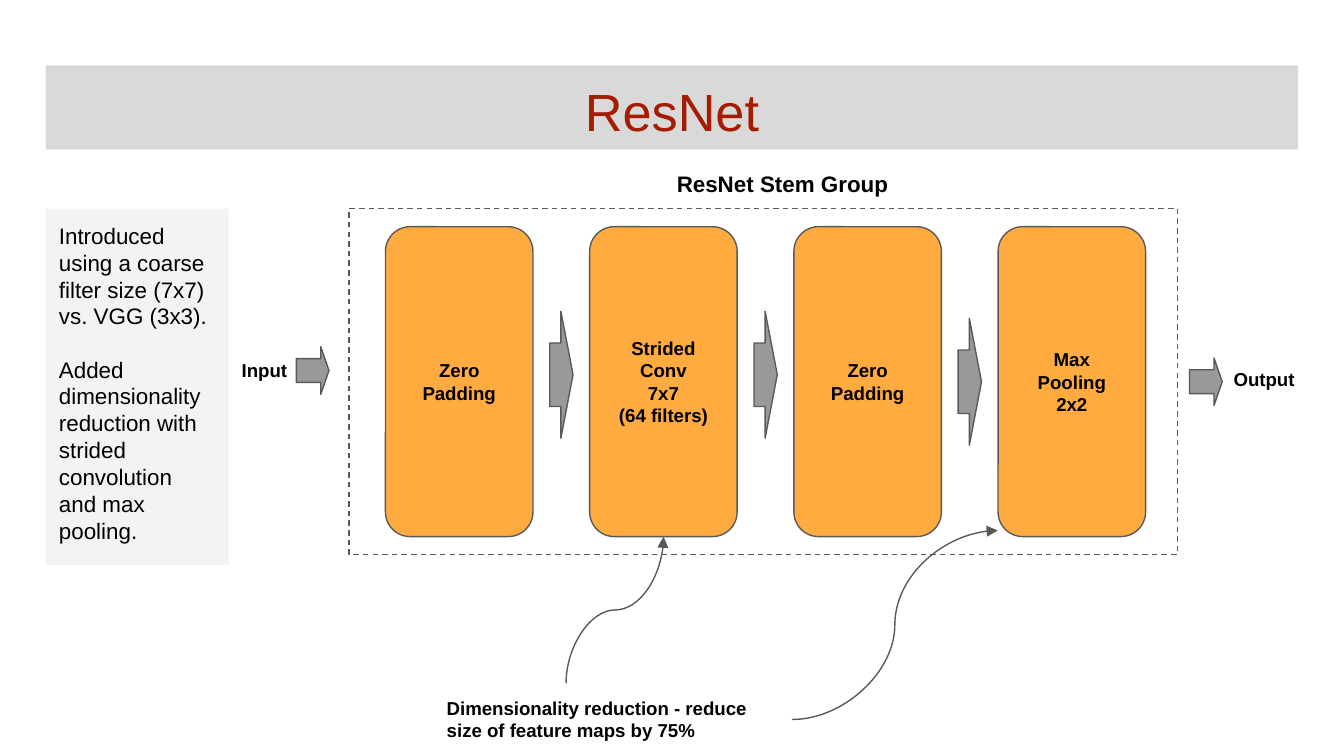
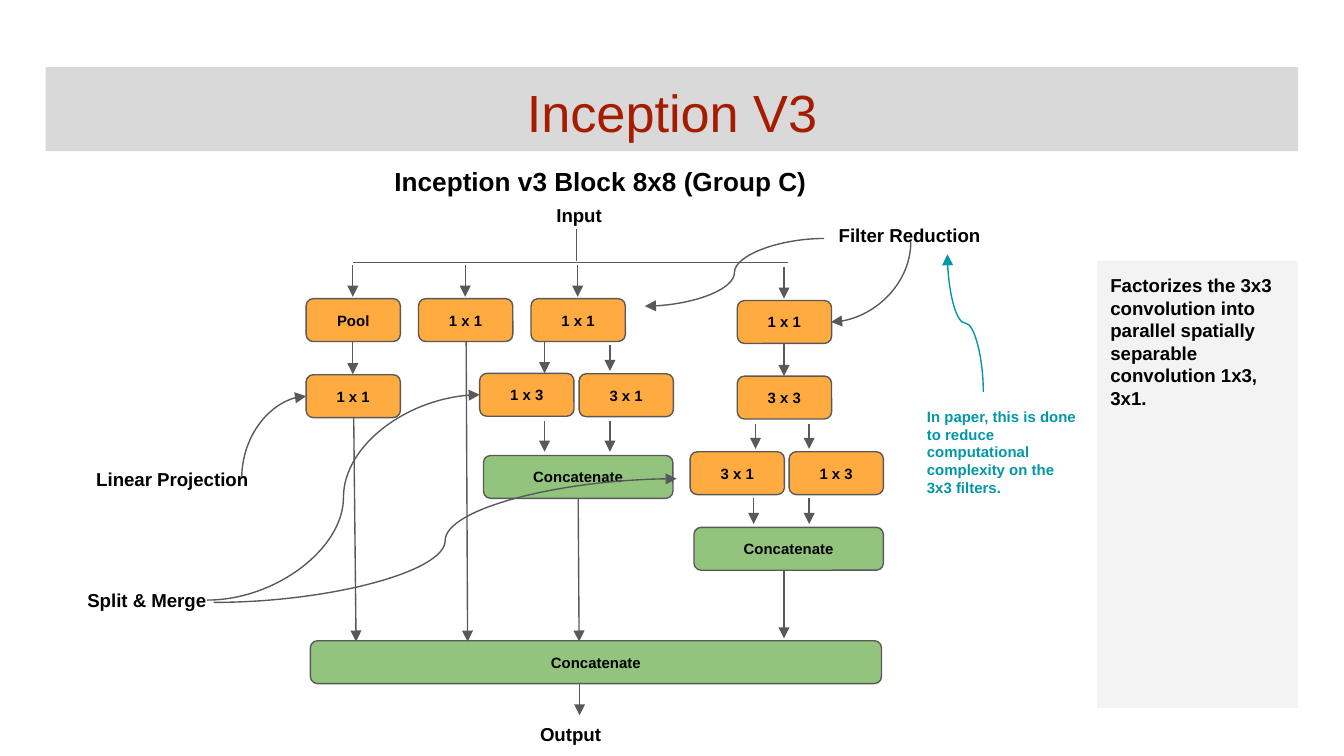
"""Build two slides on the ResNet stem group and the Inception v3 block."""
from dataclasses import dataclass

from lxml import etree
from pptx import Presentation
from pptx.dml.color import RGBColor
from pptx.enum.dml import MSO_LINE
from pptx.enum.shapes import MSO_CONNECTOR, MSO_SHAPE
from pptx.enum.text import MSO_ANCHOR, PP_ALIGN
from pptx.oxml.ns import qn
from pptx.presentation import Presentation as Deck
from pptx.shapes.autoshape import Shape
from pptx.slide import Slide
from pptx.util import Pt

RECTANGLE = MSO_SHAPE.RECTANGLE
ROUNDED = MSO_SHAPE.ROUNDED_RECTANGLE
DOWN_ARROW = MSO_SHAPE.DOWN_ARROW
STRAIGHT = MSO_CONNECTOR.STRAIGHT
CURVE = MSO_CONNECTOR.CURVE
DASH = MSO_LINE.DASH
LEFT, CENTER = PP_ALIGN.LEFT, PP_ALIGN.CENTER
TOP, MIDDLE = MSO_ANCHOR.TOP, MSO_ANCHOR.MIDDLE

BLACK = RGBColor(0x00, 0x00, 0x00)
RED = RGBColor(0xA6, 0x1C, 0x00)
TEAL = RGBColor(0x00, 0x97, 0xA7)
BAND_GRAY = RGBColor(0xD9, 0xD9, 0xD9)
NOTE_GRAY = RGBColor(0xF3, 0xF3, 0xF3)
ARROW_GRAY = RGBColor(0x99, 0x99, 0x99)
OUTLINE = RGBColor(0x59, 0x59, 0x59)
ORANGE = RGBColor(0xFF, 0xAB, 0x40)
GREEN = RGBColor(0x93, 0xC4, 0x7D)

FONT = "Arial"
INSET = 7.2
LINE_WIDTH = 0.75


@dataclass(frozen=True)
class Text:
    """Paragraphs and their shared style."""

    paragraphs: tuple[str, ...]
    size: float = 10
    bold: bool = True
    color: RGBColor = BLACK
    align: PP_ALIGN = LEFT
    anchor: MSO_ANCHOR = TOP
    gap: float = 0


@dataclass(frozen=True)
class Label:
    """Free-standing text."""

    left: float
    top: float
    width: float
    height: float
    text: Text


@dataclass(frozen=True)
class Block:
    """Rounded layer box with centred bold text."""

    left: float
    top: float
    paragraphs: tuple[str, ...]
    width: float = 50.5
    height: float = 23
    fill: RGBColor = ORANGE
    size: float = 8


@dataclass(frozen=True)
class BlockArrow:
    """Thick right-pointing arrow given by its centre."""

    center_x: float
    center_y: float
    length: float
    breadth: float
    head: float


@dataclass(frozen=True)
class Link:
    """Connector; upright curves leave vertically, bends turn once."""

    x1: float
    y1: float
    x2: float
    y2: float
    kind: MSO_CONNECTOR = STRAIGHT
    upright: bool = False
    bend: bool = False
    arrow: bool = True
    color: RGBColor = OUTLINE


def write_text(shape: Shape, text: Text) -> None:
    """Fill a shape with styled paragraphs."""
    frame = shape.text_frame
    frame.word_wrap = True
    frame.vertical_anchor = text.anchor
    frame.margin_left = frame.margin_right = Pt(INSET)
    frame.margin_top = frame.margin_bottom = Pt(INSET)
    for index, words in enumerate(text.paragraphs):
        para = frame.add_paragraph() if index else frame.paragraphs[0]
        para.alignment = text.align
        if index:
            para.space_before = Pt(text.gap)
        for row, line in enumerate(words.split("\n")):
            if row:
                para.add_line_break()
            span = para.add_run()
            span.text = line
            span.font.name = FONT
            span.font.size = Pt(text.size)
            span.font.bold = text.bold
            span.font.color.rgb = text.color


def add_box(page: Slide, preset: MSO_SHAPE, left: float, top: float,
            width: float, height: float, fill: RGBColor | None = None,
            outlined: bool = False) -> Shape:
    """Add a flat preset shape."""
    box = page.shapes.add_shape(preset, Pt(left), Pt(top), Pt(width), Pt(height))
    box.shadow.inherit = False
    if fill is None:
        box.fill.background()
    else:
        box.fill.solid()
        box.fill.fore_color.rgb = fill
    if outlined:
        box.line.color.rgb = OUTLINE
        box.line.width = Pt(LINE_WIDTH)
    else:
        box.line.fill.background()
    return box


def add_title(page: Slide, title: str, top: float) -> None:
    """Add the gray title band."""
    band = add_box(page, RECTANGLE, 24.5, top, 671, 45, BAND_GRAY)
    write_text(band, Text((title,), 28, False, RED, CENTER))


def add_note(page: Slide, note: Label) -> None:
    """Add a pale side note."""
    box = add_box(page, RECTANGLE, note.left, note.top, note.width, note.height, NOTE_GRAY)
    write_text(box, note.text)


def add_label(page: Slide, label: Label) -> None:
    """Add a text box."""
    box = page.shapes.add_textbox(Pt(label.left), Pt(label.top), Pt(label.width), Pt(label.height))
    write_text(box, label.text)


def add_block(page: Slide, block: Block) -> None:
    """Add a layer box."""
    box = add_box(page, ROUNDED, block.left, block.top, block.width, block.height,
                  block.fill, True)
    write_text(box, Text(block.paragraphs, block.size, align=CENTER, anchor=MIDDLE))


def add_block_arrow(page: Slide, arrow: BlockArrow) -> None:
    """Add a down arrow turned to point right."""
    box = add_box(page, DOWN_ARROW, arrow.center_x - arrow.breadth / 2,
                  arrow.center_y - arrow.length / 2, arrow.breadth, arrow.length,
                  ARROW_GRAY, True)
    box.adjustments[1] = arrow.head
    box.rotation = 270


def add_link(page: Slide, link: Link) -> None:
    """Add a connector, turned a quarter when it leaves vertically."""
    ends = [(link.x1, link.y1), (link.x2, link.y2)]
    if link.upright:
        mid_x, mid_y = (link.x1 + link.x2) / 2, (link.y1 + link.y2) / 2
        ends = [(mid_x + mid_y - y, mid_y + x - mid_x) for x, y in ends]
    lengths = [Pt(value) for end in ends for value in end]
    connector = page.shapes.add_connector(link.kind, *lengths)
    connector.line.color.rgb = link.color
    connector.line.width = Pt(LINE_WIDTH)
    properties = connector._element.spPr
    if link.upright:
        properties.find(qn("a:xfrm")).set("rot", str(270 * 60000))
    if link.bend:
        properties.find(qn("a:prstGeom")).set("prst", "curvedConnector2")
    if link.arrow:
        etree.SubElement(properties.find(qn("a:ln")), qn("a:tailEnd"), type="triangle")
    etree.SubElement(properties, qn("a:effectLst"))


def build_resnet(deck: Deck) -> None:
    """Draw the ResNet stem group."""
    page = deck.slides.add_slide(deck.slide_layouts[6])
    add_title(page, "ResNet", 35)
    frame = add_box(page, RECTANGLE, 187, 111.75, 443.75, 185.5, outlined=True)
    frame.line.dash_style = DASH
    layers = (("Zero\nPadding",), ("Strided", "Conv", "7x7", "(64 filters)"),
              ("Zero\nPadding",), ("Max", "Pooling", "2x2"))
    for index, layer in enumerate(layers):
        add_block(page, Block(206.5 + 109.4 * index, 121.5, layer, 79, 166, size=10))
    for index, center_y in enumerate((200.75, 200.75, 204.5)):
        add_block_arrow(page, BlockArrow(300.75 + 109.4 * index, center_y, 12.5, 68, 0.52))
    for center_x, center_y in ((167.5, 198.5), (646, 204.5)):
        add_block_arrow(page, BlockArrow(center_x, center_y, 17.5, 25.5, 0.25))
    labels = (
        Label(355.5, 84, 160.5, 27, Text(("ResNet Stem Group",), 12)),
        Label(122.4, 186, 42, 20, Text(("Input",))),
        Label(653.75, 191, 48, 20, Text(("Output",))),
        Label(232.25, 366, 178, 39,
              Text(("Dimensionality reduction - reduce size of feature maps by 75%",))),
    )
    for label in labels:
        add_label(page, label)
    add_link(page, Link(303.25, 366, 355.5, 287.5, CURVE, upright=True))
    add_link(page, Link(424.25, 385.5, 534.5, 284.25, CURVE))
    add_note(page, Label(24.5, 111.75, 98, 191, Text((
        "Introduced using a coarse filter size (7x7) vs. VGG (3x3).",
        "Added dimensionality reduction with strided convolution and max pooling.",
    ), 12, False, gap=14)))


def build_inception(deck: Deck) -> None:
    """Draw the Inception v3 block."""
    page = deck.slides.add_slide(deck.slide_layouts[6])
    add_title(page, "Inception V3", 36)
    kernels = (
        (164, 160, "Pool"), (164, 200.75, "1 x 1"), (224.25, 160, "1 x 1"),
        (284.5, 160, "1 x 1"), (395, 161, "1 x 1"), (257, 200, "1 x 3"),
        (310.25, 200.25, "3 x 1"), (395, 201.5, "3 x 3"),
        (369.75, 242, "3 x 1"), (422.75, 242, "1 x 3"),
    )
    for left, top, kernel in kernels:
        add_block(page, Block(left, top, (kernel,)))
    for left, top, width in ((259, 244, 101.5), (371.75, 282.5, 101.5), (166.25, 343.25, 306)):
        add_block(page, Block(left, top, ("Concatenate",), width, fill=GREEN))

    add_link(page, Link(189, 140.75, 422.25, 140.75, arrow=False))
    add_link(page, Link(309, 122.5, 309, 140, arrow=False))
    drops = (
        (189, 142, 159), (249.25, 142, 159), (309.5, 142, 159), (420, 143, 160),
        (189, 183.5, 200.5), (291.75, 183.5, 200), (420, 184.5, 201.5),
        (326.75, 185, 198.75), (404.75, 227, 240.5), (433.5, 227, 240.5),
        (291.75, 225.5, 242), (326.75, 225.5, 242), (403.75, 267, 280.75),
        (433.5, 267, 280.75), (420, 306, 342), (310.5, 366.5, 383.25),
    )
    for x, top, bottom in drops:
        add_link(page, Link(x, top, x, bottom))
    for x, top, drift in ((189.5, 224, 1.25), (249.75, 183, 0.75), (309.75, 267, 0.5)):
        add_link(page, Link(x, top, x + drift, 343.75))
    curves = (
        Link(129.5, 256.5, 164, 212.25, CURVE, upright=True, bend=True),
        Link(488, 129.5, 445.25, 172.5, CURVE, upright=True, bend=True),
        Link(441.5, 127.75, 345.5, 164, CURVE),
        Link(526.75, 210, 507.5, 136.25, CURVE, upright=True, color=TEAL),
        Link(111, 321.5, 257, 211.5, CURVE),
        Link(114.5, 322.75, 362.5, 256.5, CURVE),
    )
    for curve in curves:
        add_link(page, curve)

    labels = (
        Label(204.25, 81.5, 262, 21, Text(("Inception v3 Block 8x8 (Group C)",), 14)),
        Label(291, 103, 56, 19, Text(("Input",))),
        Label(282.25, 381, 56, 19, Text(("Output",))),
        Label(44.5, 244.5, 108, 22, Text(("Linear Projection",))),
        Label(442.25, 114, 94.5, 22, Text(("Filter Reduction",))),
        Label(39.75, 309.5, 94.5, 22, Text(("Split & Merge",))),
        Label(489.5, 211, 94.5, 88.5, Text((
            "In paper, this is done to reduce",
            "computational complexity on the 3x3 filters.",
        ), 8, color=TEAL)),
    )
    for label in labels:
        add_label(page, label)
    add_note(page, Label(587.75, 139.75, 107.75, 239.5, Text((
        "Factorizes the 3x3 convolution into parallel spatially separable convolution 1x3, 3x1.",
    ))))


def main() -> None:
    """Build and save the deck."""
    deck = Presentation()
    deck.slide_width, deck.slide_height = Pt(720), Pt(405)
    build_resnet(deck)
    build_inception(deck)
    deck.save("out.pptx")


if __name__ == "__main__":
    main()
